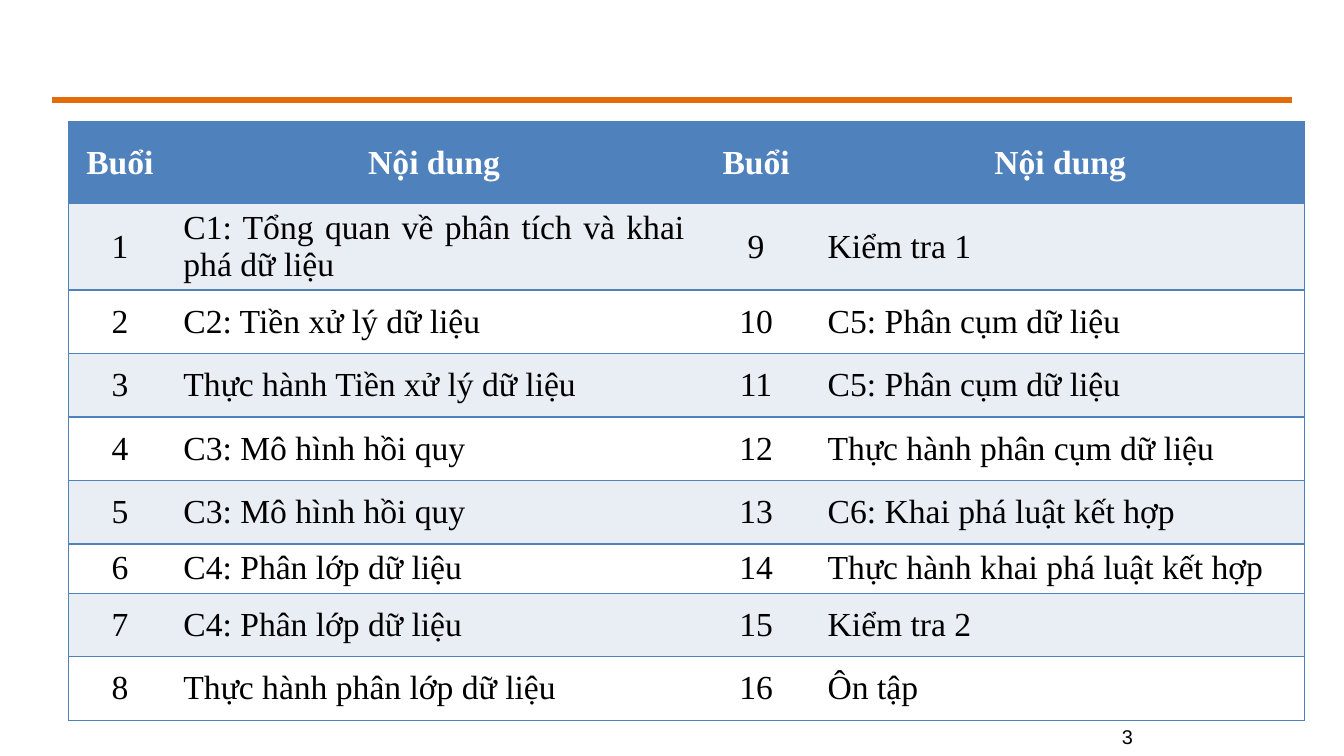
from lxml.etree import SubElement
from pptx import Presentation
from pptx.dml.color import RGBColor
from pptx.enum.shapes import MSO_CONNECTOR
from pptx.enum.text import MSO_ANCHOR, PP_ALIGN
from pptx.oxml.ns import qn
from pptx.util import Inches, Pt

COLORS = {
    "header": "4F81BD",
    "band": "E9EDF4",
    "white": "FFFFFF",
    "text": "000000",
    "rule": "E46C0A",
}
COL_WIDTHS = [1.02, 5.21, 1.18, 4.85]
ROW_HEIGHTS = [0.81, 0.81, 0.63, 0.63, 0.63, 0.63, 0.48, 0.63, 0.63]
TOPICS = [
    "C1: Tổng quan về phân tích và khai phá dữ liệu",
    "C2: Tiền xử lý dữ liệu",
    "Thực hành Tiền xử lý dữ liệu",
    "C3: Mô hình hồi quy",
    "C3: Mô hình hồi quy",
    "C4: Phân lớp dữ liệu",
    "C4: Phân lớp dữ liệu",
    "Thực hành phân lớp dữ liệu",
    "Kiểm tra 1",
    "C5: Phân cụm dữ liệu",
    "C5: Phân cụm dữ liệu",
    "Thực hành phân cụm dữ liệu",
    "C6: Khai phá luật kết hợp",
    "Thực hành khai phá luật kết hợp",
    "Kiểm tra 2",
    "Ôn tập",
]
HALF = len(TOPICS) // 2
rows = [["Buổi", "Nội dung"] * 2]
for i in range(HALF):
    rows.append([str(i + 1), TOPICS[i], str(i + 1 + HALF), TOPICS[i + HALF]])


def rgb(name):
    return RGBColor.from_string(COLORS[name])


def add_border(cell, side, visible):
    ln = SubElement(cell._tc.get_or_add_tcPr(), qn(f"a:ln{side}"), w=str(Pt(1)))
    if visible:
        fill = SubElement(ln, qn("a:solidFill"))
        SubElement(fill, qn("a:srgbClr"), val=COLORS["header"])
    else:
        SubElement(ln, qn("a:noFill"))


prs = Presentation()
prs.slide_width, prs.slide_height = Inches(13.33), Inches(7.5)
s = prs.slides.add_slide(prs.slide_layouts[6])

table = s.shapes.add_table(
    len(rows), len(COL_WIDTHS), Inches(0.68), Inches(1.21),
    Inches(sum(COL_WIDTHS)), Inches(sum(ROW_HEIGHTS)),
).table
for col, width in zip(table.columns, COL_WIDTHS):
    col.width = Inches(width)
for row, height in zip(table.rows, ROW_HEIGHTS):
    row.height = Inches(height)

for r, texts in enumerate(rows):
    for c, text in enumerate(texts):
        cell = table.cell(r, c)
        add_border(cell, "L", c == 0)
        add_border(cell, "R", c == len(texts) - 1)
        add_border(cell, "T", True)
        add_border(cell, "B", True)
        cell.fill.solid()
        cell.fill.fore_color.rgb = rgb("header" if r == 0 else "band" if r % 2 else "white")
        cell.vertical_anchor = MSO_ANCHOR.MIDDLE
        cell.margin_left = cell.margin_right = Inches(0.12)
        cell.margin_top = cell.margin_bottom = Inches(0.06)
        cell.text = text
        p = cell.text_frame.paragraphs[0]
        p.alignment = PP_ALIGN.CENTER if r == 0 or c % 2 == 0 else PP_ALIGN.JUSTIFY
        p.font.name = "Times New Roman"
        p.font.size = Pt(24)
        p.font.bold = r == 0
        p.font.color.rgb = rgb("white" if r == 0 else "text")

tf = s.shapes.add_textbox(Inches(11.03), Inches(7.14), Inches(1.64), Inches(0.31)).text_frame
tf.word_wrap = True
p = tf.paragraphs[0]
p.text = "3"
p.font.name = "Arial"
p.font.size = Pt(14.2)
p.font.color.rgb = rgb("text")

rule = s.shapes.add_connector(
    MSO_CONNECTOR.STRAIGHT, Inches(0.52), Inches(0.99), Inches(12.81), Inches(0.99)
)
rule.line.color.rgb = rgb("rule")
rule.line.width = Pt(4)
SubElement(rule._element.spPr, qn("a:effectLst"))

prs.save("out.pptx")
